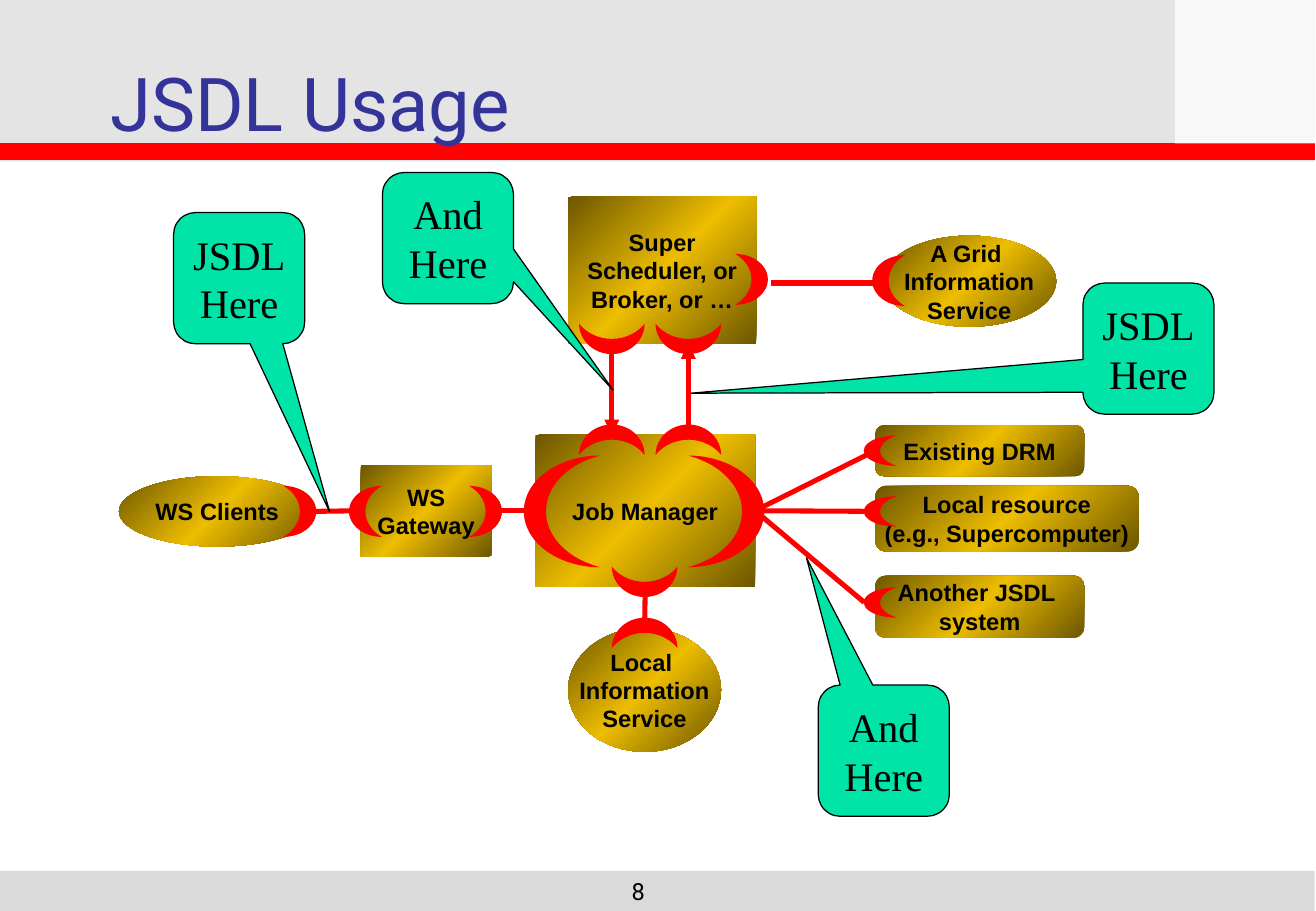
from pptx import Presentation
from pptx.dml.color import RGBColor
from pptx.enum.shapes import MSO_CONNECTOR, MSO_SHAPE
from pptx.enum.text import MSO_ANCHOR, PP_ALIGN
from pptx.oxml.ns import qn
from pptx.util import Inches, Pt
from lxml import etree
from copy import deepcopy

RECT, ROUNDED = MSO_SHAPE.RECTANGLE, MSO_SHAPE.ROUNDED_RECTANGLE
OVAL, MOON = MSO_SHAPE.OVAL, MSO_SHAPE.MOON
CALLOUT = MSO_SHAPE.ROUNDED_RECTANGULAR_CALLOUT
STRAIGHT = MSO_CONNECTOR.STRAIGHT
MIDDLE, BOTTOM = MSO_ANCHOR.MIDDLE, MSO_ANCHOR.BOTTOM
LEFT, CENTER, RIGHT = PP_ALIGN.LEFT, PP_ALIGN.CENTER, PP_ALIGN.RIGHT

# Rotation of a crescent by the side its outer curve faces
FACING = {"left": 0, "top": 90, "right": 180, "bottom": 270}


def rgb(value):
    return RGBColor.from_string(value)


class Diagram:
    RED, GREEN, BLACK = "FF0000", "00E4A8", "000000"
    GOLD, BROWN = "EDBD00", "6D5700"

    def __init__(self, s):
        self.s = s

    def shape(self, kind, x, y, w, h, color=None):
        sp = self.s.shapes.add_shape(kind, Inches(x), Inches(y), Inches(w), Inches(h))
        sp.shadow.inherit = False
        sp.line.fill.background()
        if color:
            sp.fill.solid()
            sp.fill.fore_color.rgb = rgb(color)
        return sp

    def veil(self, x, y, w, h):
        """Half-transparent white rectangle."""
        sp = self.shape(RECT, x, y, w, h, "FFFFFF")
        clr = sp._element.spPr.find(".//" + qn("a:srgbClr"))
        etree.SubElement(clr, qn("a:alpha"), val="50000")

    def set_text(self, sp, text, size, font, color, align=CENTER, anchor=MIDDLE, bold=False):
        tf = sp.text_frame
        tf.vertical_anchor = anchor
        tf.text = text
        for p in tf.paragraphs:
            p.alignment = align
            p.font.size, p.font.name, p.font.bold = Pt(size), font, bold
            p.font.color.rgb = rgb(color)

    def text(self, x, y, w, h, text, size, color, align):
        sp = self.s.shapes.add_textbox(Inches(x), Inches(y), Inches(w), Inches(h))
        sp.text_frame.word_wrap = True
        self.set_text(sp, text, size, "Roboto", color, align, BOTTOM)

    def node(self, kind, x, y, w, h, text):
        sp = self.shape(kind, x, y, w, h)
        sp.fill.gradient()
        sp.fill.gradient_angle = 135
        first = sp._element.spPr.find(".//" + qn("a:gs"))
        first.addnext(deepcopy(first))
        for stop, pos, color in zip(sp.fill.gradient_stops, (0, 0.5, 1),
                                    (self.BROWN, self.GOLD, self.BROWN)):
            stop.position = pos
            stop.color.rgb = rgb(color)
        self.set_text(sp, text, 14, "Arial", self.BLACK, bold=True)
        sp.text_frame.word_wrap = False
        return sp

    def link(self, x1, y1, x2, y2, begin=None, end=None, arrow=False, color=RED, width=3):
        """Straight line; begin and end are optional (shape, side) pairs."""
        c = self.s.shapes.add_connector(STRAIGHT, Inches(x1), Inches(y1), Inches(x2), Inches(y2))
        c.line.color.rgb = rgb(color)
        c.line.width = Pt(width)
        if arrow:
            ln = c._element.spPr.find(qn("a:ln"))
            etree.SubElement(ln, qn("a:tailEnd"), type="triangle")
        etree.SubElement(c._element.spPr, qn("a:effectLst"))
        if begin:
            c.begin_connect(*begin)
        if end:
            c.end_connect(*end)

    def crescent(self, cx, cy, w, h, facing, thickness=0.5):
        sp = self.shape(MOON, cx - w / 2, cy - h / 2, w, h, self.RED)
        sp.adjustments[0] = thickness
        sp.rotation = FACING[facing]

    def callout(self, x, y, text, tip_x, tip_y):
        sp = self.shape(CALLOUT, x, y, 1.08, 1.08, self.GREEN)
        sp.line.color.rgb = rgb(self.BLACK)
        sp.line.width = Pt(0.75)
        sp.adjustments[0], sp.adjustments[1] = tip_x, tip_y
        self.set_text(sp, text, 24, "Times New Roman", self.BLACK)


def main():
    prs = Presentation()
    prs.slide_width, prs.slide_height = Inches(10.84), Inches(7.5)
    d = Diagram(prs.slides.add_slide(prs.slide_layouts[6]))

    # Page frame
    d.shape(RECT, 0, 7.17, 10.83, 0.34, "DADADA")
    d.shape(RECT, 0, 0, 10.83, 1.33, "E4E4E4")
    d.link(0, 1.25, 10.83, 1.25, color="FF0101", width=10)
    for _ in range(2):
        d.veil(9.68, 0, 1.15, 1.18)
    d.text(0.81, 0, 9.69, 1.25, "JSDL Usage", 44, "333399", LEFT)
    d.text(4.24, 7.25, 1.17, 0.25, "8", 14, d.BLACK, RIGHT)

    # Components
    d.node(ROUNDED, 7.21, 4.74, 1.72, 0.51, "Another JSDL \nsystem")
    gateway = d.node(RECT, 2.97, 3.83, 1.08, 0.75, "WS\nGateway")
    d.node(OVAL, 0.98, 3.92, 1.62, 0.58, "WS Clients")
    manager = d.node(RECT, 4.41, 3.58, 1.81, 1.25, "Job Manager")
    d.node(OVAL, 7.27, 1.94, 1.43, 0.75, "A Grid \nInformation\nService")
    local_info = d.node(OVAL, 4.68, 5.17, 1.26, 1.02, "Local \nInformation\nService")
    d.node(ROUNDED, 7.21, 4, 2.17, 0.54, "Local resource\n(e.g., Supercomputer)")
    drm = d.node(ROUNDED, 7.21, 3.5, 1.72, 0.42, "Existing DRM")
    d.node(RECT, 4.68, 1.62, 1.55, 1.21, "Super\nScheduler, or\nBroker, or …")

    # Links
    d.link(2.6, 4.21, 2.97, 4.21, end=(gateway, 1))
    d.link(4.05, 4.21, 4.41, 4.21, (gateway, 3), (manager, 1))
    d.link(6.22, 4.21, 7.21, 3.71, (manager, 3), (drm, 1))
    d.link(6.22, 4.21, 7.21, 4.21, (manager, 3))
    d.link(6.22, 4.21, 7.12, 4.96, (manager, 3))
    d.link(5.31, 4.83, 5.31, 5.17, (manager, 2), (local_info, 0))
    d.link(6.35, 2.33, 7.25, 2.33)
    d.link(5.04, 2.83, 5.04, 3.58, arrow=True)
    d.link(5.67, 3.58, 5.67, 2.83, arrow=True)

    # Interfaces
    for cy in (3.71, 4.21, 4.96):
        d.crescent(7.25, cy, 0.27, 0.25, "left")
    for cx, cy, facing in ((2.47, 4.21, "right"), (3.01, 4.21, "left"), (4, 4.21, "right"),
                           (6.19, 2.3, "right"), (7.32, 2.31, "left")):
        d.crescent(cx, cy, 0.27, 0.42, facing)
    for cx, upper, lower in ((5.04, 2.79, 3.62), (5.67, 2.79, 3.62), (5.31, 4.79, 5.21)):
        d.crescent(cx, upper, 0.25, 0.54, "bottom")
        d.crescent(cx, lower, 0.25, 0.54, "top")
    for cx, facing in ((4.63, "left"), (5.98, "right")):
        d.crescent(cx, 4.21, 0.63, 0.92, facing, 0.29)

    d.callout(1.43, 1.75, "JSDL\nHere", 0.69, 1.78)
    d.callout(3.15, 1.42, "And\nHere", 1.26, 1.16)
    d.callout(8.92, 2.33, "JSDL\nHere", -3.49, 0.34)
    d.callout(6.74, 5.64, "And\nHere", -0.59, -1.47)

    prs.save("out.pptx")


if __name__ == "__main__":
    main()
